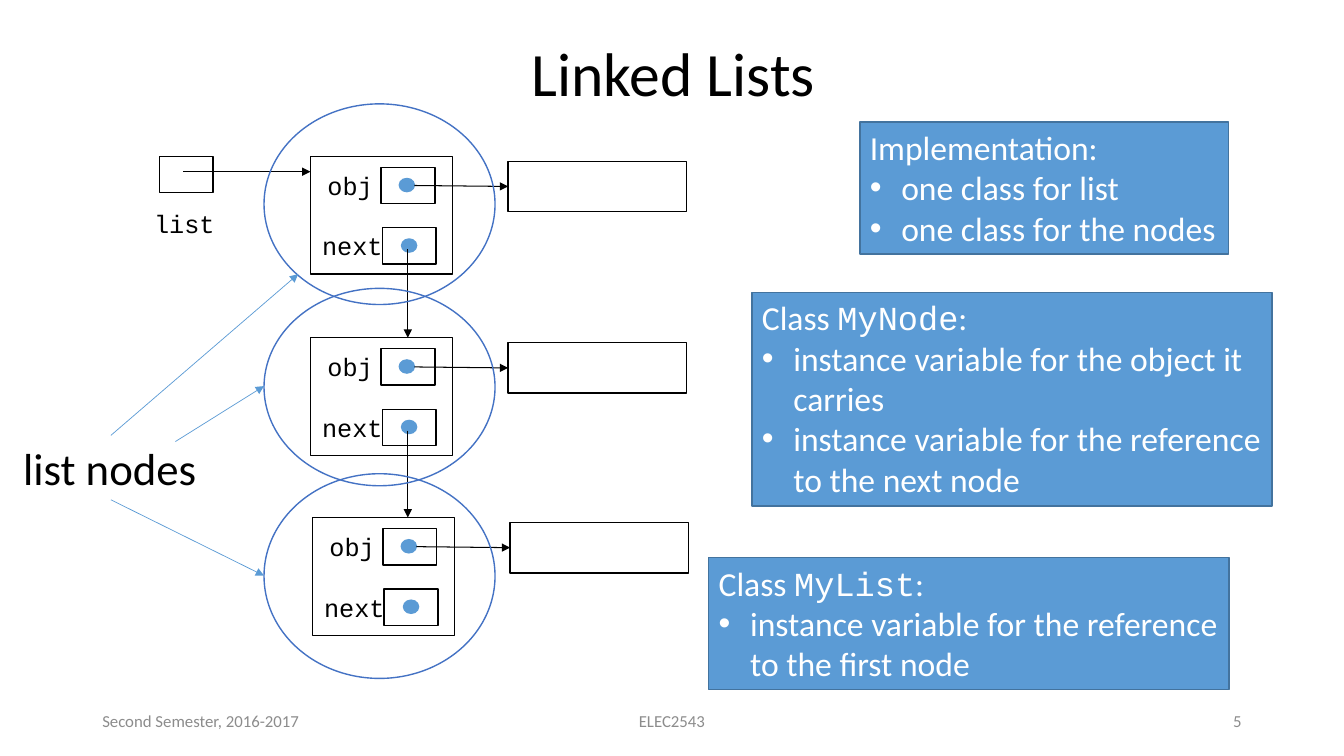
from lxml.etree import SubElement
from pptx import Presentation
from pptx.dml.color import RGBColor
from pptx.enum.shapes import MSO_CONNECTOR, MSO_SHAPE
from pptx.enum.text import MSO_ANCHOR, PP_ALIGN
from pptx.oxml.ns import qn
from pptx.util import Pt

COLORS = {
    "black": "000000",
    "white": "FFFFFF",
    "blue": "5B9BD5",
    "edge": "43739E",
    "ring": "4472C4",
    "gray": "8C8C8C",
}
SANS = "Calibri"
MONO = "Courier New"


def color(name):
    return RGBColor.from_string(COLORS[name])


def add_span(para, text, size, font, ink):
    span = para.add_run()
    span.text = text
    span.font.size = Pt(size)
    span.font.name = font
    span.font.color.rgb = color(ink)


def add_label(page, area, text, size, font=SANS, ink="black",
              align=PP_ALIGN.LEFT, anchor=MSO_ANCHOR.TOP, wrap=False):
    box = page.shapes.add_textbox(*map(Pt, area))
    frame = box.text_frame
    frame.word_wrap = wrap
    frame.vertical_anchor = anchor
    para = frame.paragraphs[0]
    para.alignment = align
    add_span(para, text, size, font, ink)
    return para


def add_outline(page, kind, area, line="black", fill=None):
    shape = page.shapes.add_shape(kind, *map(Pt, area))
    shape.shadow.inherit = False
    if fill:
        shape.fill.solid()
        shape.fill.fore_color.rgb = color(fill)
    else:
        shape.fill.background()
    shape.line.color.rgb = color(line)
    shape.line.width = Pt(1)
    return shape


def add_arrow(page, start, end, ink="black", width=0.75):
    arrow = page.shapes.add_connector(MSO_CONNECTOR.STRAIGHT, *map(Pt, start + end))
    arrow.line.color.rgb = color(ink)
    arrow.line.width = Pt(width)
    properties = arrow.element.spPr
    SubElement(properties.find(qn("a:ln")), qn("a:tailEnd"), type="triangle")
    SubElement(properties, qn("a:effectLst"))


def add_field(page, left, top, name, label_left, cell_left, dot_left):
    width = 14.4 + 10.8 * len(name)
    add_outline(page, MSO_SHAPE.RECTANGLE, (left + cell_left, top, 38.4, 26))
    add_label(page, (left + label_left, top - 1.4, width, 28.8), name, 18, MONO)
    add_outline(page, MSO_SHAPE.OVAL, (left + dot_left, top + 8, 10.8, 9.4), "blue", "blue")


def add_node(page, left, top):
    add_outline(page, MSO_SHAPE.RECTANGLE, (left, top, 101.5, 84.2))
    add_field(page, left, top + 7.9, "obj", 5, 50.4, 63.4)
    add_field(page, left, top + 51.1, "next", 1.2, 51.2, 65)
    add_outline(page, MSO_SHAPE.RECTANGLE, (left + 141.2, top + 3.6, 127.4, 36))
    add_arrow(page, (left + 74.2, top + 20.9), (left + 141.2, top + 21.6))


def add_panel(page, area, heading, bullets, wrap=True):
    panel = add_outline(page, MSO_SHAPE.RECTANGLE, area, "edge", "blue")
    frame = panel.text_frame
    frame.word_wrap = wrap
    frame.vertical_anchor = MSO_ANCHOR.TOP
    para = frame.paragraphs[0]
    para.alignment = PP_ALIGN.LEFT
    for text, font in heading:
        add_span(para, text, 24, font, "white")
    for text in bullets:
        para = frame.add_paragraph()
        para.alignment = PP_ALIGN.LEFT
        properties = para._p.get_or_add_pPr()
        properties.set("marL", str(Pt(22.5)))
        properties.set("indent", str(-Pt(22.5)))
        SubElement(properties, qn("a:buFont"), typeface="Arial")
        SubElement(properties, qn("a:buChar"), char="•")
        add_span(para, text, 24, SANS, "white")


def main():
    deck = Presentation()
    deck.slide_width, deck.slide_height = Pt(960), Pt(540)
    page = deck.slides.add_slide(deck.slide_layouts[6])

    title = add_label(page, (157, 9.4, 648, 90), "Linked Lists", 44,
                      align=PP_ALIGN.CENTER, anchor=MSO_ANCHOR.MIDDLE, wrap=True)
    title.line_spacing = 0.9

    nodes = [(221.8, 111.6), (221.8, 241.2), (223.2, 369.6)]
    for left, top in nodes:
        add_node(page, left, top)
    for (left, top), (_, next_top) in zip(nodes, nodes[1:]):
        add_arrow(page, (left + 69.5, top + 66.5), (left + 69.5, next_top))

    add_outline(page, MSO_SHAPE.RECTANGLE, (113.8, 111.6, 38.4, 26))
    add_label(page, (103, 145.4, 57.6, 28.8), "list", 18, MONO)
    add_arrow(page, (131, 122.6), (221.8, 122.6))

    for top, height in ((74.2, 143.3), (206, 141), (338.4, 146.2)):
        add_outline(page, MSO_SHAPE.OVAL, (188.6, top, 165, height), "ring")
    add_label(page, (9.4, 311, 139.7, 46), "list nodes", 32)
    for start, end in (
        ((79.2, 311), (213, 195.8)),
        ((125.3, 315.4), (188.6, 275.8)),
        ((79.2, 357), (188.6, 411.2)),
    ):
        add_arrow(page, start, end, "blue", 0.5)

    add_panel(page, (614.2, 87.1, 263.5, 94.5), [("Implementation:", SANS)],
              ["one class for list", "one class for the nodes"], wrap=False)
    add_panel(page, (537.1, 208.8, 371.6, 152.6),
              [("Class ", SANS), ("MyNode", MONO), (":", SANS)],
              ["instance variable for the object it carries",
               "instance variable for the reference to the next node"])
    add_panel(page, (506.2, 398.2, 371.6, 94.5),
              [("Class ", SANS), ("MyList", MONO), (":", SANS)],
              ["instance variable for the reference to the first node"])

    for left, width, text, align in (
        (66, 216, "Second Semester, 2016-2017", PP_ALIGN.LEFT),
        (318, 324, "ELEC2543", PP_ALIGN.CENTER),
        (678, 216, "5", PP_ALIGN.RIGHT),
    ):
        add_label(page, (left, 500.5, width, 28.75), text, 12, ink="gray",
                  align=align, anchor=MSO_ANCHOR.MIDDLE, wrap=True)

    deck.save("out.pptx")


main()
